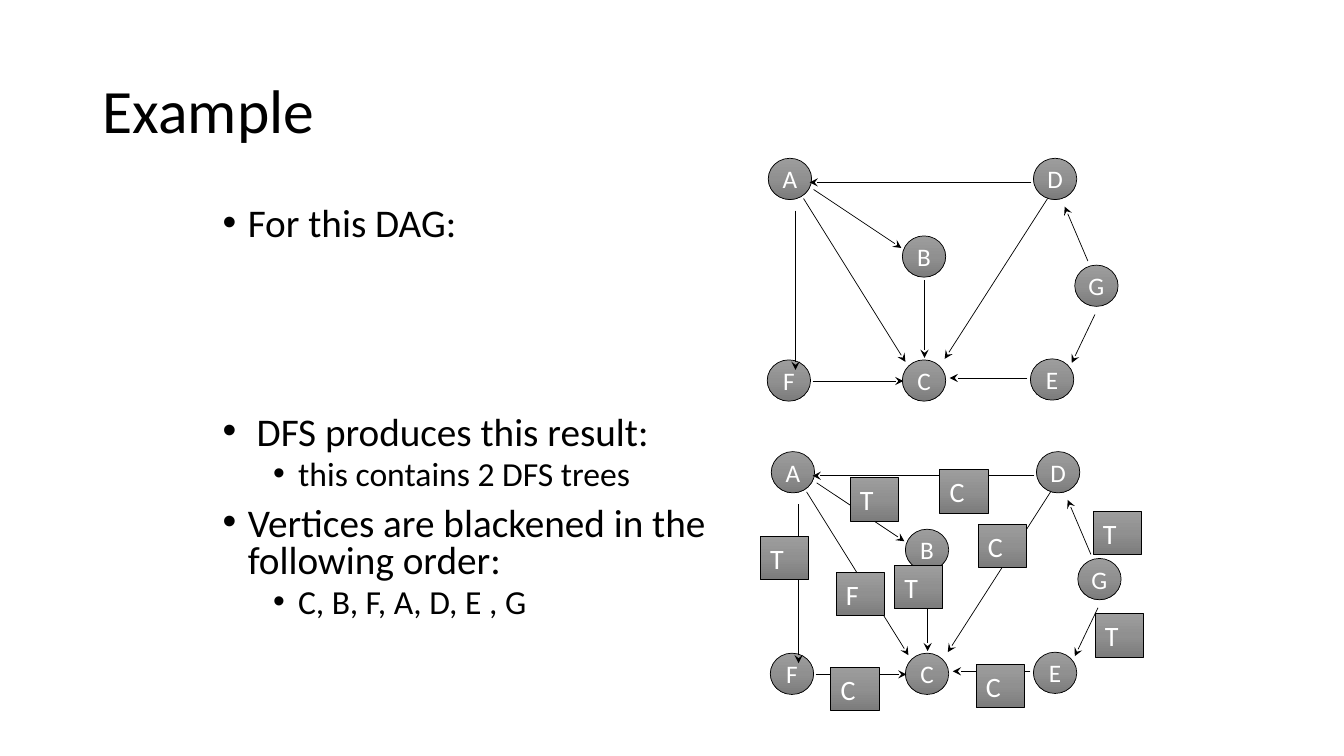
from copy import deepcopy

from lxml.etree import SubElement
from pptx import Presentation
from pptx.dml.color import RGBColor
from pptx.enum.shapes import MSO_CONNECTOR as Link, MSO_SHAPE as Preset
from pptx.enum.text import MSO_ANCHOR as Anchor, MSO_AUTO_SIZE as Fit, PP_ALIGN as Align
from pptx.oxml.ns import qn
from pptx.util import Pt

PX = 9144
FONT = "Calibri"
BLACK, WHITE = "000000", "FFFFFF"
GREYS = ((0, "9D9D9D"), (0.5, "909090"), (1, "7C7C7C"))

NODE_SIZE = (43, 41)
NODES = {
    "A": (1, 0), "B": (134, 77), "C": (134, 200), "D": (264, 0),
    "E": (261, 199), "F": (0, 200), "G": (305, 106),
}
EDGES = {
    "AF": (28, 52, 28, 210), "DA": (262, 24, 42, 24),
    "DC": (278, 40, 176, 199), "FC": (45, 221, 135, 221),
    "EC": (258, 218, 181, 218), "AC": (36, 40, 137, 202),
    "AB": (46, 31, 133, 89), "BC": (156, 121, 156, 198),
    "GE": (325, 155, 302, 203), "GD": (318, 102, 295, 48),
}
LABEL_SIZE = (48, 43)
EDGE_LABELS = {
    "AF": ("T", -10, 84), "AB": ("T", 79, 26), "BC": ("T", 123, 113),
    "GD": ("T", 320, 59), "GE": ("T", 322, 161), "AC": ("F", 65, 120),
    "FC": ("C", 60, 214), "EC": ("C", 204, 211), "DC": ("C", 206, 72),
    "DA": ("C", 168, 18),
}
BODY = (
    ("For this DAG:", 0, 10),
    (" DFS produces this result:", 0, 122),
    ("this contains 2 DFS trees", 1, 5),
    ("Vertices are blackened in the following order:", 0, 10),
    ("C, B, F, A, D, E , G", 1, 5),
)


def px(*lengths):
    """Turn px lengths into EMU."""
    return [length * PX for length in lengths]


def rgb(color):
    """Turn a hex string into a colour."""
    return RGBColor.from_string(color)


def write(para, text, size=18, color=BLACK, align=Align.LEFT, spacing=1.0, before=0):
    """Write one formatted run into a paragraph."""
    para.alignment = align
    para.line_spacing = spacing
    para.space_before = Pt(before)
    span = para.add_run()
    span.text = text
    span.font.name = FONT
    span.font.size = Pt(size)
    span.font.color.rgb = rgb(color)


def bullet(para, level):
    """Give a paragraph a hanging bullet."""
    para.level = level
    props = para._p.get_or_add_pPr()
    left, hang = px(25 + 50 * level, 25)
    props.set("marL", str(left))
    props.set("indent", str(-hang))
    SubElement(props, qn("a:buFont"), typeface="Arial")
    SubElement(props, qn("a:buChar"), char="•")


def text_frame(page, box, anchor):
    """Add a wrapping text box and return its frame."""
    frame = page.shapes.add_textbox(*px(*box)).text_frame
    frame.word_wrap = True
    frame.vertical_anchor = anchor
    return frame


def title(page, box):
    """Place the slide title."""
    frame = text_frame(page, box, Anchor.MIDDLE)
    write(frame.paragraphs[0], "Example", size=44, spacing=0.9)


def body(page, box):
    """Place the bulleted text."""
    frame = text_frame(page, box, Anchor.TOP)
    for index, (text, level, before) in enumerate(BODY):
        para = frame.add_paragraph() if index else frame.paragraphs[0]
        write(para, text, size=28 - 4 * level, spacing=0.8, before=before)
        bullet(para, level)


def grey_shape(group, preset, box):
    """Add an outlined shape with the grey gradient."""
    shape = group.shapes.add_shape(preset, *px(*box))
    shape.shadow.inherit = False
    shape.line.color.rgb = rgb(BLACK)
    shape.line.width = Pt(0.5)
    shape.fill.gradient()
    shape.fill.gradient_angle = 270
    stops = shape._element.spPr.find(qn("a:gradFill")).find(qn("a:gsLst"))
    stops.insert(1, deepcopy(stops[0]))
    for stop, (position, color) in zip(shape.fill.gradient_stops, GREYS):
        stop.position = position
        stop.color.rgb = rgb(color)
    return shape


def node(group, box, name):
    """Draw one vertex."""
    frame = grey_shape(group, Preset.OVAL, box).text_frame
    frame.word_wrap = False
    frame.vertical_anchor = Anchor.MIDDLE
    write(frame.paragraphs[0], name, color=WHITE, align=Align.CENTER)


def edge(group, ends):
    """Draw one directed edge."""
    line = group.shapes.add_connector(Link.STRAIGHT, *px(*ends))
    line.line.color.rgb = rgb(BLACK)
    line.line.width = Pt(0.5)
    SubElement(line.line._get_or_add_ln(), qn("a:tailEnd"), type="stealth")
    SubElement(line._element.spPr, qn("a:effectLst"))


def edge_label(group, box, kind):
    """Draw one edge type label."""
    frame = grey_shape(group, Preset.RECTANGLE, box).text_frame
    frame.word_wrap = True
    frame.vertical_anchor = Anchor.TOP
    frame.auto_size = Fit.SHAPE_TO_FIT_TEXT
    write(frame.paragraphs[0], kind, size=20, color=WHITE)


def graph(page, origin, labels):
    """Draw the graph and its edge labels from a top left corner."""
    left, top = origin
    group = page.shapes.add_group_shape()
    for name, (x, y) in NODES.items():
        node(group, (left + x, top + y, *NODE_SIZE), name)
    for x1, y1, x2, y2 in EDGES.values():
        edge(group, (left + x1, top + y1, left + x2, top + y2))
    for kind, x, y in labels.values():
        edge_label(group, (left + x, top + y, *LABEL_SIZE), kind)


def main():
    """Build and save the deck."""
    deck = Presentation()
    deck.slide_width, deck.slide_height = px(1333, 750)
    page = deck.slides.add_slide(deck.slide_layouts[6])
    title(page, (92, 40, 1150, 145))
    body(page, (211, 201, 536, 450))
    graph(page, (761, 157), {})
    graph(page, (764, 448), EDGE_LABELS)
    deck.save("out.pptx")


if __name__ == "__main__":
    main()
